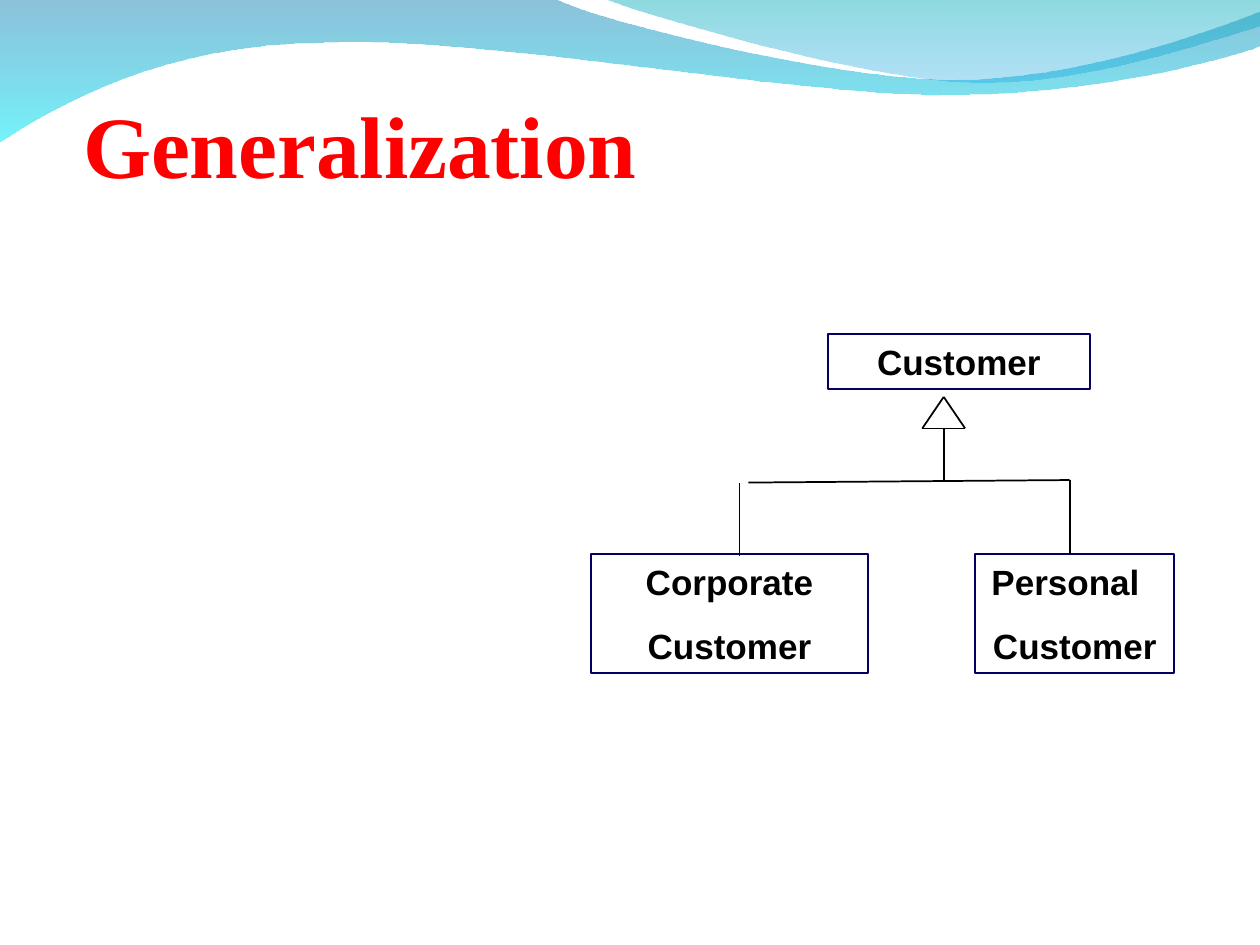
from pptx import Presentation
from pptx.dml.color import RGBColor
from pptx.enum import shapes, text
from pptx.oxml import ns
from pptx.util import Inches, Pt
from lxml import etree

COLORS = {
    "title": "FF0000", "ink": "000000", "frame": "030064",
    "deep_blue": "0079AF", "cyan": "00EBF8", "teal": "00ADB6", "sky": "009BE5",
}


def color(name):
    return RGBColor.from_string(COLORS[name])


def bend(lines):
    """Turn three consecutive line segments into one Bezier curve."""
    first, *others = lines
    first.tag = ns.qn("a:cubicBezTo")
    for line in others:
        first.append(line[0])
        line.getparent().remove(line)


def add_wave(page, start, parts, stops):
    """Gradient outline; a part is one line end or three curve points.

    Stops run from top to bottom as (color, opacity %).
    """
    points = [(Inches(x), Inches(y)) for part in parts for x, y in part]
    builder = page.shapes.build_freeform(Inches(start[0]), Inches(start[1]))
    builder.add_line_segments(points, close=True)
    wave = builder.convert_to_shape()
    lines = list(wave.element.iter(ns.qn("a:lnTo")))
    for part in parts:
        segment, lines = lines[:len(part)], lines[len(part):]
        if len(part) == 3:
            bend(segment)
    wave.shadow.inherit = False
    wave.line.fill.background()
    wave.fill.gradient()
    wave.fill.gradient_angle = 270
    for position, (stop, (name, _)) in enumerate(zip(wave.fill.gradient_stops, stops)):
        stop.color.rgb = color(name)
        stop.position = position
    for tint, (_, opacity) in zip(wave.element.iter(ns.qn("a:srgbClr")), stops):
        etree.SubElement(tint, ns.qn("a:alpha"), val=str(opacity * 1000))


def write(para, words, *, size, font, ink="ink", align=None, before=0, indent=0):
    span = para.add_run()
    span.text = words
    span.font.size = Pt(size)
    span.font.name = font
    span.font.bold = True
    span.font.color.rgb = color(ink)
    para.alignment = align
    para.space_before = Pt(before)
    if indent:
        para._p.get_or_add_pPr().set("marL", str(Inches(indent)))


def add_title(page, words):
    box = page.shapes.add_textbox(Inches(0.66), Inches(0.33), Inches(8.55), Inches(1.23))
    frame = box.text_frame
    frame.word_wrap = True
    frame.vertical_anchor = text.MSO_ANCHOR.BOTTOM
    frame.margin_left = frame.margin_right = frame.margin_bottom = 0
    write(frame.paragraphs[0], words, size=50, font="Times New Roman", ink="title")


def add_class(page, left, top, width, height, lines):
    """UML class box; each line is its words and paragraph format."""
    box = page.shapes.add_shape(shapes.MSO_SHAPE.RECTANGLE, Inches(left), Inches(top),
                                Inches(width), Inches(height))
    box.shadow.inherit = False
    box.fill.background()
    box.line.color.rgb = color("frame")
    box.line.width = Pt(1)
    frame = box.text_frame
    frame.word_wrap = True
    frame.vertical_anchor = text.MSO_ANCHOR.MIDDLE
    for index, (words, layout) in enumerate(lines):
        para = frame.add_paragraph() if index else frame.paragraphs[0]
        write(para, words, size=20, font="Arial", before=12.5 if index else 0, **layout)


def add_line(page, start, end):
    line = page.shapes.add_connector(shapes.MSO_CONNECTOR.STRAIGHT,
                                     *(Inches(value) for value in start + end))
    line.line.color.rgb = color("ink")
    line.line.width = Pt(1)
    etree.SubElement(line.element.spPr, ns.qn("a:effectLst"))


def add_generalization(page):
    """Hollow triangle with its stem, and the branches to both subclasses."""
    tip, left, right = (7.49, 3.15), (7.32, 3.4), (7.66, 3.4)
    for start, end in (
        ((5.87, 4.41), (5.87, 3.83)),
        ((5.94, 3.83), (8.49, 3.81)),
        ((8.49, 3.81), (8.49, 4.4)),
        (tip, left), (left, right), (right, tip),
        ((7.49, 3.4), (7.49, 3.81)),
    ):
        add_line(page, start, end)


def main():
    deck = Presentation()
    deck.slide_width, deck.slide_height = Inches(10), Inches(7.5)
    page = deck.slides.add_slide(deck.slide_layouts[6])

    add_wave(page, (0, -0.01), (
        ((4.4, -0.01),),
        ((4.76, 0.17), (6.64, 0.63), (7.58, 0.63)),
        ((8.53, 0.63), (9.58, 0.26), (10, 0.09)),
        ((10.01, 0.36),),
        ((9.83, 0.44), (8.7, 0.76), (7.46, 0.75)),
        ((6.22, 0.75), (3.82, 0.28), (2.57, 0.34)),
        ((1.29, 0.35), (0.46, 0.83), (-0.01, 1.13)),
    ), (("deep_blue", 45), ("cyan", 55)))
    add_wave(page, (4.79, -0.01), (
        ((5.09, 0.11), (6.82, 0.62), (7.69, 0.65)),
        ((8.56, 0.69), (9.61, 0.32), (10, 0.21)),
        ((10, 0),),
    ), (("teal", 45), ("sky", 30)))

    add_title(page, "Generalization")
    centered = {"align": text.PP_ALIGN.CENTER}
    indented = {"align": text.PP_ALIGN.LEFT, "indent": 0.03}
    customer = ("Customer", centered)
    add_class(page, 6.57, 2.65, 2.08, 0.44, [customer])
    add_class(page, 4.69, 4.4, 2.2, 0.94, [("Corporate", centered), customer])
    add_class(page, 7.74, 4.4, 1.58, 0.94, [("Personal", indented), customer])
    add_generalization(page)
    deck.save("out.pptx")


if __name__ == "__main__":
    main()
